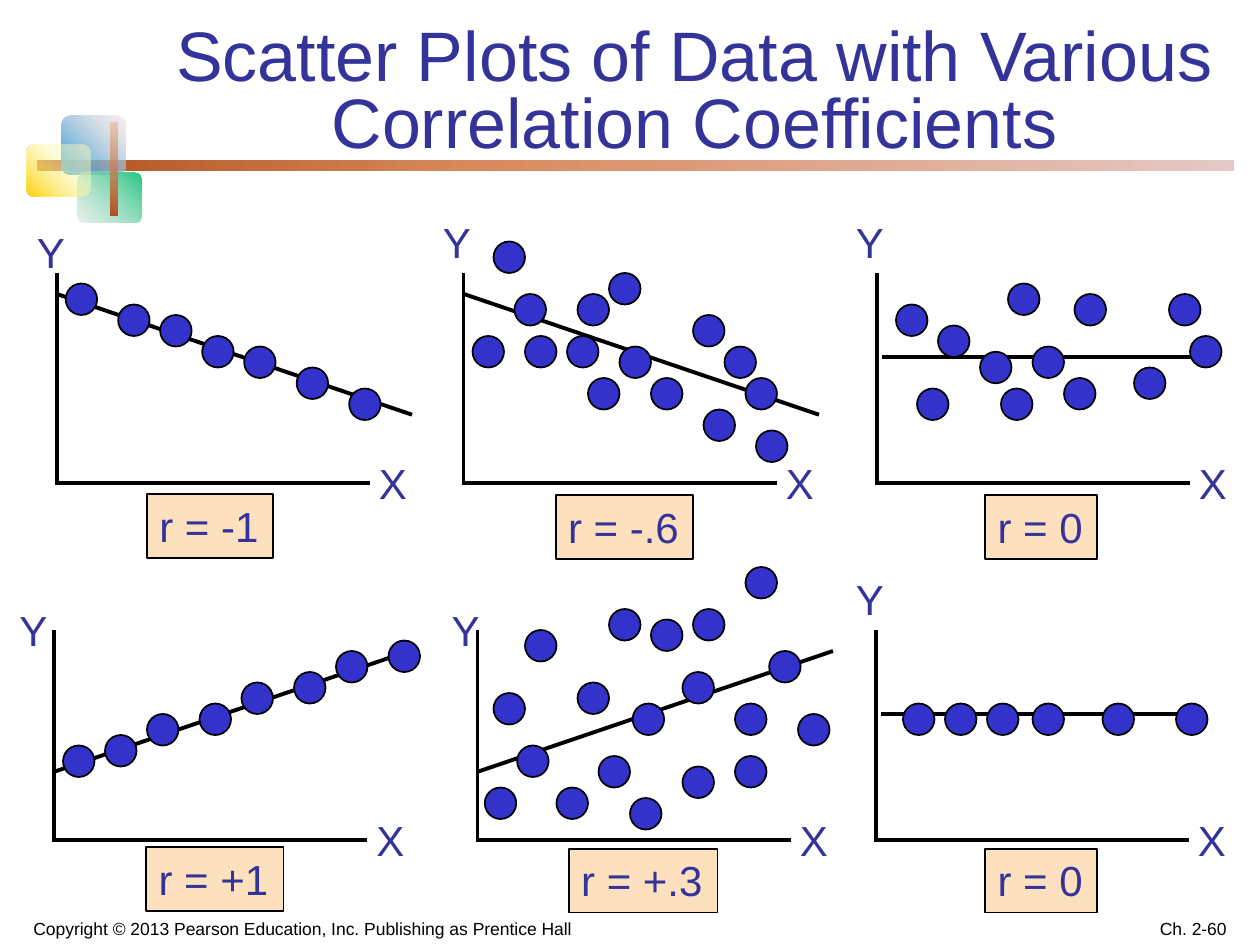
import dataclasses

import lxml.etree
import pptx
import pptx.dml.color
import pptx.enum.shapes
import pptx.enum.text
import pptx.oxml.ns
import pptx.util

Pt = pptx.util.Pt
qn = pptx.oxml.ns.qn
SHAPES = pptx.enum.shapes.MSO_SHAPE
ALIGN = pptx.enum.text.PP_ALIGN
ANCHOR = pptx.enum.text.MSO_ANCHOR

INK, BLACK, DOT, BOX = "333399", "000000", "3333CC", "FDE0BD"
AXIS_WIDTH, AXIS_HEIGHT = 180, 120
FALLING = (0, -108, 203, -39)
RISING = (0, -39, 203, -108)
FLAT = (3, -72, 183, -72)


@dataclasses.dataclass
class Plot:
    """One scatter plot; trend is relative to the origin, dots are top left corners."""
    origin: tuple
    y_label: tuple
    trend: tuple
    caption: str
    caption_box: tuple
    dots: list


PLOTS = [
    Plot((32.5, 276), (14, 126), FALLING, "r = -1", (84, 282.5, 72),
         [(37.5, 162), (67.5, 174), (91.5, 180), (115.5, 192), (139.5, 198),
          (169.5, 210), (199.5, 222)]),
    Plot((265, 276), (246, 120), FALLING, "r = -.6", (317.5, 283, 78.5),
         [(270, 192), (282, 138), (294, 168), (300, 192), (324, 192), (330, 168),
          (336, 216), (348, 156), (354, 198), (372, 216), (396, 180), (402, 234),
          (414, 198), (426, 216), (432, 246)]),
    Plot((501, 276), (482, 120), FLAT, "r = 0", (563, 283, 64),
         [(512, 174), (524, 222), (536, 186), (560, 201), (572, 222), (576, 162),
          (590, 198), (608, 216), (614, 168), (648, 210), (668, 168), (680, 192)]),
    Plot((31, 480), (4, 342), RISING, "r = +1", (83.5, 484, 78.5),
         [(36, 426), (60, 420), (84, 408), (114, 402), (138, 390), (168, 384),
          (192, 372), (222, 366)]),
    Plot((273, 480), (251, 342), RISING, "r = +.3", (325, 485, 85),
         [(277, 450), (282, 396), (295.5, 426), (300, 360), (318, 450), (330, 390),
          (342, 432), (348, 348), (360, 456), (361.5, 402), (372, 354), (390, 384),
          (390, 438), (396, 348), (420, 402), (420, 432), (426, 324), (439.5, 372),
          (456, 408)]),
    Plot((500.5, 480), (482, 324), FLAT, "r = 0", (563, 485, 64),
         [(left, 402) for left in (516, 540, 564, 590, 630, 672)]),
]


def color(value):
    return pptx.dml.color.RGBColor.from_string(value)


def write(shape, text, size, ink=INK, align=ALIGN.LEFT, anchor=ANCHOR.TOP, wrap=False):
    frame = shape.text_frame
    frame.word_wrap = wrap
    frame.vertical_anchor = anchor
    paragraph = frame.paragraphs[0]
    paragraph.alignment = align
    run = paragraph.add_run()
    run.text = text
    run.font.name = "Arial"
    run.font.size = Pt(size)
    run.font.color.rgb = color(ink)
    return paragraph


def add_text(slide, box, text, size, **options):
    shape = slide.shapes.add_textbox(*map(Pt, box))
    return write(shape, text, size, **options)


def add_shape(slide, kind, box, fill):
    shape = slide.shapes.add_shape(kind, *map(Pt, box))
    shape.shadow.inherit = False
    shape.fill.solid()
    shape.fill.fore_color.rgb = color(fill)
    shape.line.color.rgb = color(BLACK)
    shape.line.width = Pt(1)
    return shape


def add_line(slide, ends, width):
    line = slide.shapes.add_connector(
        pptx.enum.shapes.MSO_CONNECTOR.STRAIGHT, *map(Pt, ends))
    line.line.color.rgb = color(BLACK)
    line.line.width = Pt(width)
    lxml.etree.SubElement(line._element.spPr, qn("a:effectLst"))


def add_gradient_block(slide, box, rounding, angle, stops):
    """Stops are (position, colour, opacity), all in percent but the colour."""
    shape = slide.shapes.add_shape(SHAPES.ROUNDED_RECTANGLE, *map(Pt, box))
    shape.adjustments[0] = rounding
    shape.shadow.inherit = False
    shape.line.fill.background()
    shape.fill.gradient()
    shape.fill.gradient_angle = angle
    stop_list = shape._element.spPr.find(qn("a:gradFill")).find(qn("a:gsLst"))
    for old_stop in list(stop_list):
        stop_list.remove(old_stop)
    for position, value, opacity in stops:
        stop = lxml.etree.SubElement(stop_list, qn("a:gs"), pos=str(position * 1000))
        tint = lxml.etree.SubElement(stop, qn("a:srgbClr"), val=value)
        if opacity < 100:
            lxml.etree.SubElement(tint, qn("a:alpha"), val=str(opacity * 1000))


def add_decoration(slide):
    add_gradient_block(slide, (21, 91.5, 684, 6), 0, 0,
                       [(0, "AE511E", 100), (37, "D88A5E", 100), (100, "E4C9C6", 100)])
    add_gradient_block(slide, (35, 66, 36.5, 33.5), 0.15, 45,
                       [(0, "2895D8", 100), (100, "F7E2D9", 50)])
    add_gradient_block(slide, (44.5, 98.5, 36.5, 28.5), 0.15, 225,
                       [(0, "25C580", 100), (100, "CCE2D9", 50)])
    add_gradient_block(slide, (15, 82.5, 36.5, 30), 0.15, 45,
                       [(0, "FFCF01", 100), (63, "FCFCBC", 50)])
    add_gradient_block(slide, (63, 70, 4, 53), 0, 90,
                       [(0, "AE511E", 100), (100, "EAA782", 50)])


def add_plot(slide, plot):
    x, y = plot.origin
    add_line(slide, (x, y - AXIS_HEIGHT, x, y), 2)
    add_line(slide, (x - 1, y, x - 1 + AXIS_WIDTH, y), 2)
    x1, y1, x2, y2 = plot.trend
    add_line(slide, (x + x1, y + y1, x + x2, y + y2), 2.25)
    for dot in plot.dots:
        add_shape(slide, SHAPES.OVAL, (*dot, 18, 18), DOT)
    add_text(slide, (*plot.y_label, 30, 36), "Y", 24)
    add_text(slide, (x + 177, y - 18, 30, 36), "X", 24)
    caption = add_shape(slide, SHAPES.RECTANGLE, (*plot.caption_box, 36.5), BOX)
    write(caption, plot.caption, 24)


def main():
    presentation = pptx.Presentation()
    presentation.slide_width, presentation.slide_height = Pt(720), Pt(540)
    slide = presentation.slides.add_slide(presentation.slide_layouts[6])
    add_decoration(slide)
    title = add_text(slide, (90, 6, 613.5, 90),
                     "Scatter Plots of Data with Various Correlation Coefficients", 40,
                     align=ALIGN.CENTER, anchor=ANCHOR.BOTTOM, wrap=True)
    title.line_spacing = 0.8
    for plot in PLOTS:
        add_plot(slide, plot)
    footer = {"ink": BLACK, "anchor": ANCHOR.BOTTOM, "wrap": True}
    add_text(slide, (12, 515, 382, 25),
             "Copyright © 2013 Pearson Education, Inc. Publishing as Prentice Hall",
             10, **footer)
    add_text(slide, (540, 515, 168, 25), "Ch. 2-60", 10, align=ALIGN.RIGHT, **footer)
    presentation.save("out.pptx")


if __name__ == "__main__":
    main()
